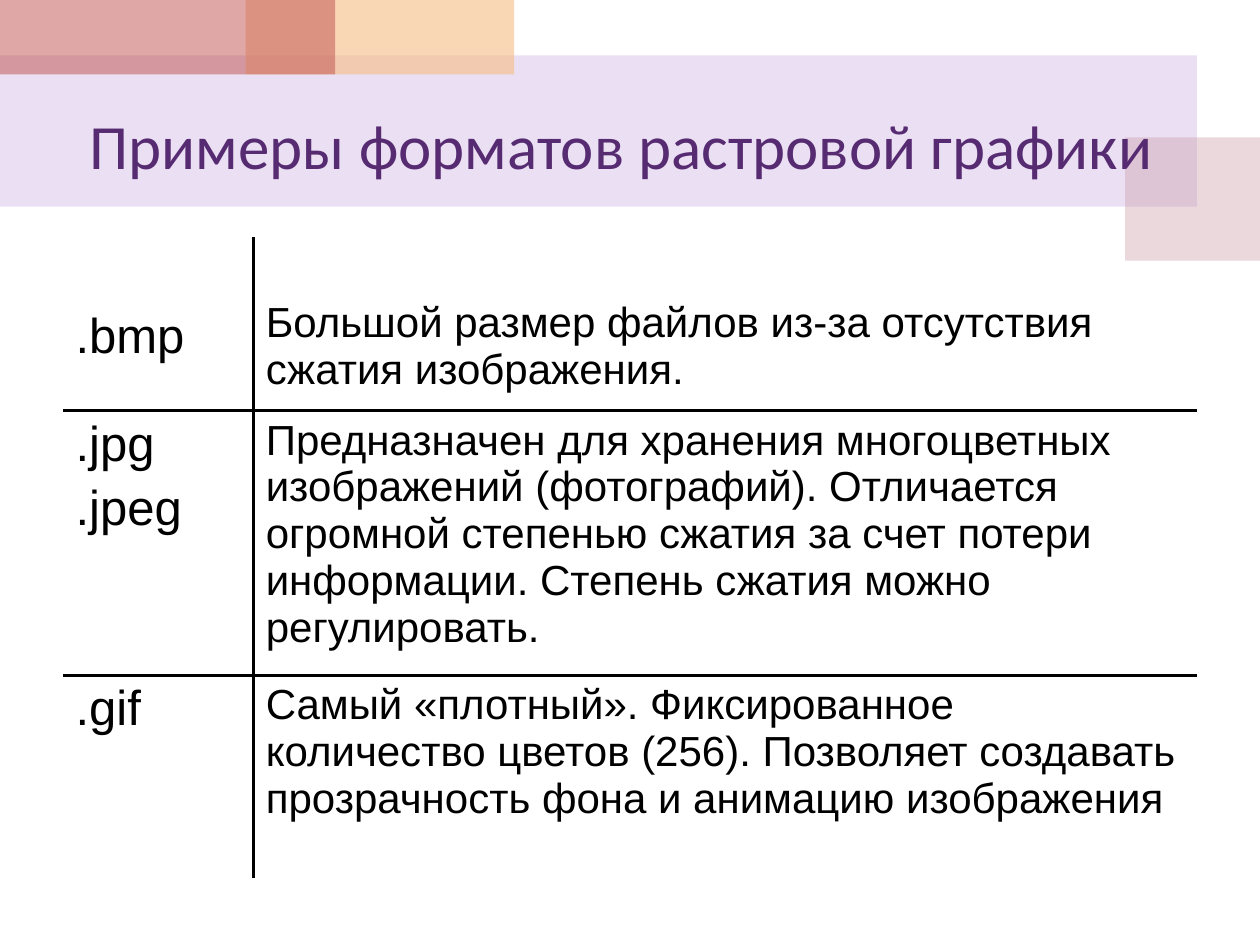
from lxml import etree
from pptx import Presentation
from pptx.dml.color import RGBColor
from pptx.enum import shapes, text
from pptx.oxml.ns import qn
from pptx.util import Pt

TITLE = "Примеры форматов растровой графики"
ROWS = [
    ([".bmp"], "Большой размер файлов из-за отсутствия сжатия изображения."),
    ([".jpg", ".jpeg"],
     "Предназначен для хранения многоцветных изображений (фотографий). "
     "Отличается огромной степенью сжатия за счет потери информации. "
     "Степень сжатия можно регулировать."),
    ([".gif"],
     "Самый «плотный». Фиксированное количество цветов (256). "
     "Позволяет создавать прозрачность фона и анимацию изображения"),
]
BLOCKS = [
    ((0, 31.68, 684, 86.4), "BF98D8", 30),
    ((643, 78.5, 77, 70.5), "CC9EAC", 40),
    ((140.4, 0, 153.4, 42.5), "F5BC83", 60),
    ((0, 0, 191.5, 42.5), "C0504D", 50),
]
TITLE_BOX = (31, 37.44, 648, 90)
TABLE_AT = (36, 135.36)
COL_WIDTHS = (108.72, 539.28)
ROW_HEIGHTS = (99.36, 151.2, 115.92)
SIZES = (28, 24)
FIRST_ROW_TOPS = (41.4, 36)
LINE = 2.25


def rgb(value):
    return RGBColor.from_string(value)


def style(font, **values):
    color = values.pop("color")
    for name, value in values.items():
        setattr(font, name, value)
    font.color.rgb = rgb(color)


def add_block(s, box, color, alpha):
    sp = s.shapes.add_shape(shapes.MSO_SHAPE.RECTANGLE, *map(Pt, box))
    sp.shadow.inherit = False
    sp.line.fill.background()
    sp.fill.solid()
    sp.fill.fore_color.rgb = rgb(color)
    clr = sp.fill._xPr.find(".//" + qn("a:srgbClr"))
    etree.SubElement(clr, qn("a:alpha"), val=str(alpha * 1000))


def set_borders(cell, sides):
    tc_pr = cell._tc.get_or_add_tcPr()
    for side in "LRTB":
        ln = etree.SubElement(tc_pr, qn("a:ln" + side), w=str(Pt(LINE)))
        if side in sides:
            fill = etree.SubElement(ln, qn("a:solidFill"))
            etree.SubElement(fill, qn("a:srgbClr"), val="000000")
        else:
            etree.SubElement(ln, qn("a:noFill"))


def fill_cell(cell, lines, size, top):
    cell.fill.background()
    margins = dict(margin_left=7.2, margin_right=7.2, margin_top=top, margin_bottom=3.6)
    for name, value in margins.items():
        setattr(cell, name, Pt(value))
    tf = cell.text_frame
    for i, line in enumerate(lines):
        p = tf.add_paragraph() if i else tf.paragraphs[0]
        p.space_before = Pt(size * 0.2 if i else 0)
        r = p.add_run()
        r.text = line
        style(r.font, size=Pt(size), name="Arial", bold=False, color="000000")


def add_formats(s):
    last = len(ROWS) - 1
    size = (sum(COL_WIDTHS), sum(ROW_HEIGHTS))
    frame = s.shapes.add_table(len(ROWS), 2, *map(Pt, TABLE_AT + size))
    table = frame.table
    table.first_row = table.horz_banding = False
    for col, width in zip(table.columns, COL_WIDTHS):
        col.width = Pt(width)
    for i, (names, about) in enumerate(ROWS):
        table.rows[i].height = Pt(ROW_HEIGHTS[i])
        for j, lines in enumerate((names, [about])):
            cell = table.cell(i, j)
            sides = "RL"[j] + ("T" if i else "") + ("B" if i < last else "")
            set_borders(cell, sides)
            fill_cell(cell, lines, SIZES[j], 3.6 if i else FIRST_ROW_TOPS[j])


def add_title(s):
    sp = s.shapes.title
    sp.left, sp.top, sp.width, sp.height = map(Pt, TITLE_BOX)
    s.shapes._spTree.append(sp._element)
    tf = sp.text_frame
    tf.word_wrap = True
    tf.vertical_anchor = text.MSO_ANCHOR.MIDDLE
    p = tf.paragraphs[0]
    p.alignment = text.PP_ALIGN.CENTER
    r = p.add_run()
    r.text = TITLE
    style(r.font, size=Pt(36), name="Calibri", color="562B71")


def main():
    prs = Presentation()
    prs.slide_width, prs.slide_height = Pt(720), Pt(540)
    s = prs.slides.add_slide(prs.slide_layouts[5])
    for block in BLOCKS:
        add_block(s, *block)
    add_title(s)
    add_formats(s)
    prs.save("out.pptx")


if __name__ == "__main__":
    main()
